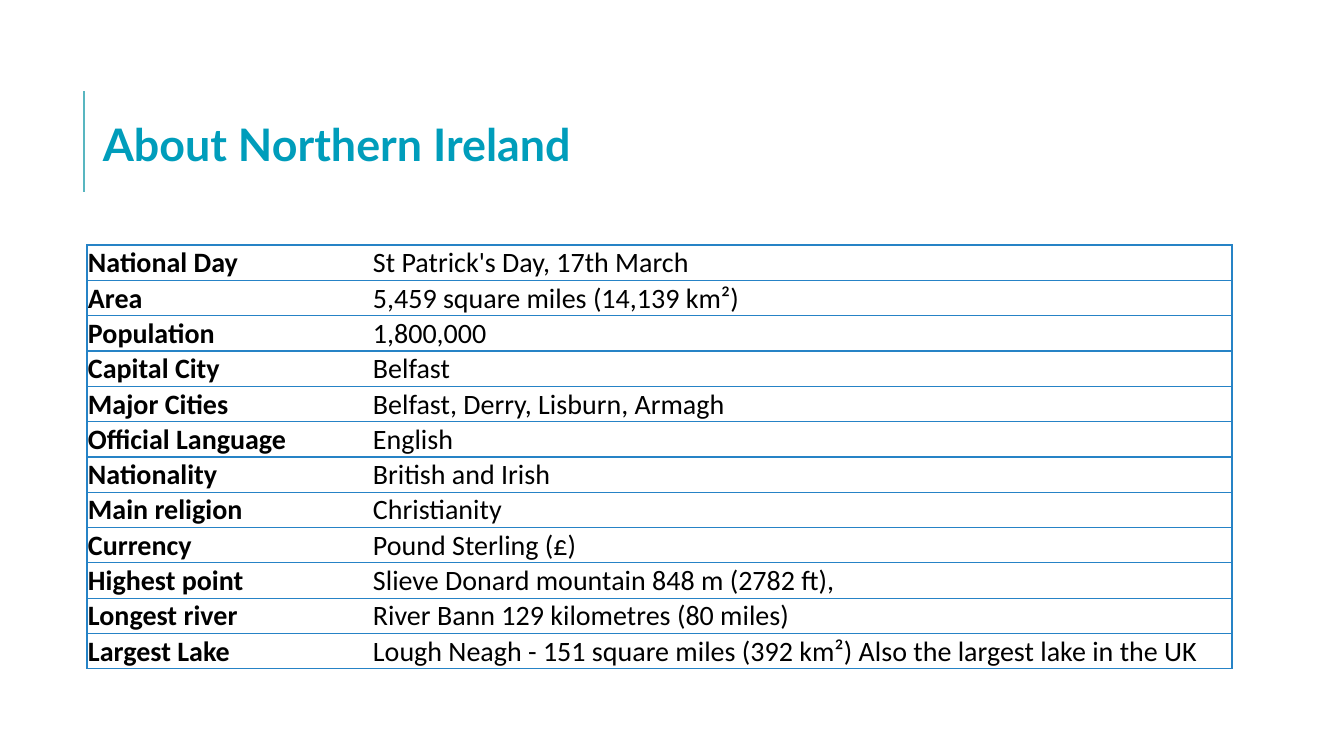
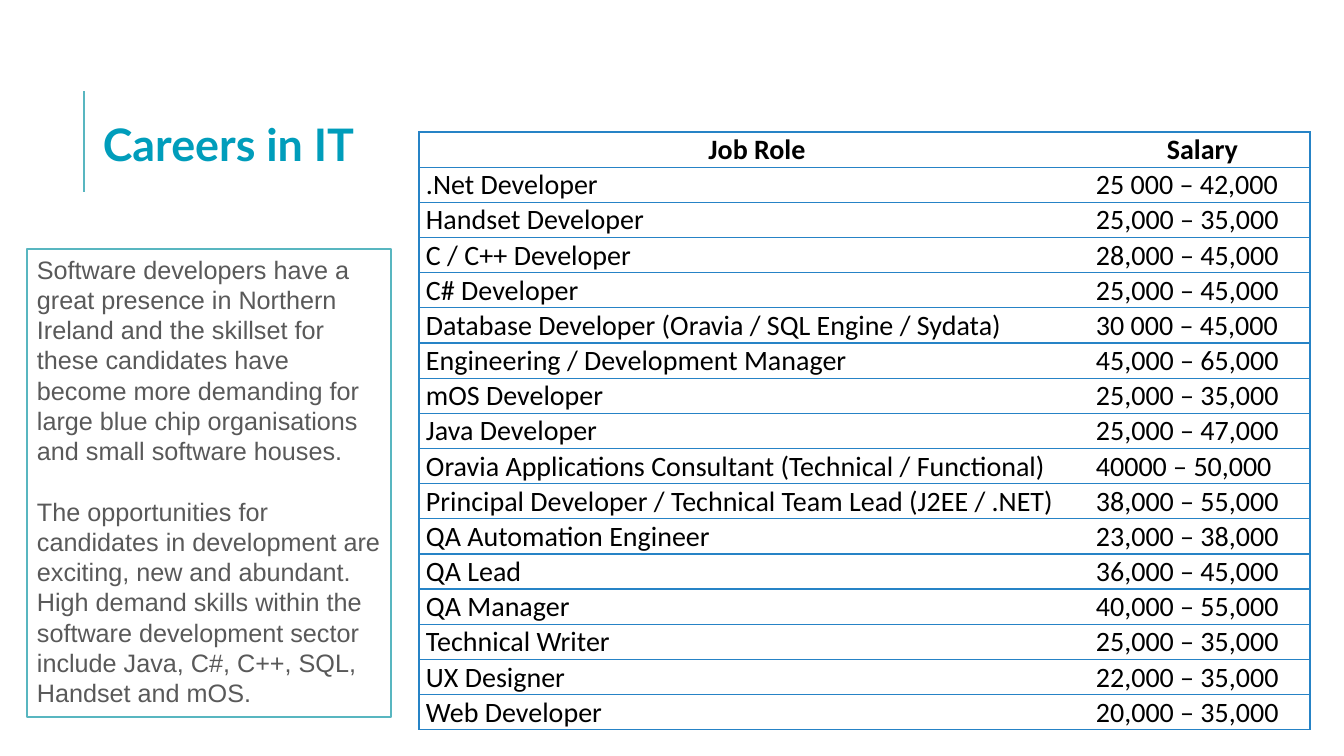
import lxml.etree
import pptx
import pptx.dml.color
import pptx.enum.shapes
import pptx.enum.text
import pptx.oxml.ns
import pptx.util

PX = 914400 / 100.8
TEAL = pptx.dml.color.RGBColor(0x58, 0xB6, 0xC0)
CYAN = pptx.dml.color.RGBColor(0x00, 0x9D, 0xBB)
BLUE = pptx.dml.color.RGBColor(0x26, 0x83, 0xC6)
GREY = pptx.dml.color.RGBColor(0x59, 0x59, 0x59)
BLACK = pptx.dml.color.RGBColor(0x00, 0x00, 0x00)
WHITE = pptx.dml.color.RGBColor(0xFF, 0xFF, 0xFF)

LEFT = pptx.enum.text.PP_ALIGN.LEFT
CENTER = pptx.enum.text.PP_ALIGN.CENTER
TOP = pptx.enum.text.MSO_ANCHOR.TOP
MIDDLE = pptx.enum.text.MSO_ANCHOR.MIDDLE
BOTTOM = pptx.enum.text.MSO_ANCHOR.BOTTOM


def emu(*px):
    return [pptx.util.Emu(round(v * PX)) for v in px]


def put_text(tf, text, font="Calibri", size=20, color=BLACK, bold=False,
             align=LEFT, spacing=None, gap=None):
    for i, line in enumerate(text.split("\n")):
        p = tf.add_paragraph() if i else tf.paragraphs[0]
        p.alignment = align
        if spacing:
            p.line_spacing = pptx.util.Pt(spacing)
        if gap and i:
            p.space_before = pptx.util.Pt(gap)
        r = p.add_run()
        r.text = line
        r.font.name = font
        r.font.size = pptx.util.Pt(size)
        r.font.bold = bold
        r.font.color.rgb = color


FACTS = [
    ("National Day", "St Patrick's Day, 17th March"),
    ("Area", "5,459 square miles (14,139 km²)"),
    ("Population", "1,800,000"),
    ("Capital City", "Belfast"),
    ("Major Cities", "Belfast, Derry, Lisburn, Armagh"),
    ("Official Language", "English"),
    ("Nationality", "British and Irish"),
    ("Main religion", "Christianity"),
    ("Currency", "Pound Sterling (£)"),
    ("Highest point", "Slieve Donard mountain 848 m (2782 ft),"),
    ("Longest river", "River Bann 129 kilometres (80 miles)"),
    ("Largest Lake", "Lough Neagh - 151 square miles (392 km²) Also the largest lake in the UK"),
]
JOBS = [
    ("Job Role", "Salary"),
    (".Net Developer", "25 000 – 42,000"),
    ("Handset Developer", "25,000 – 35,000"),
    ("C / C++ Developer", "28,000 – 45,000"),
    ("C# Developer", "25,000 – 45,000"),
    ("Database Developer (Oravia / SQL Engine / Sydata)", "30 000 – 45,000"),
    ("Engineering / Development Manager", "45,000 – 65,000"),
    ("mOS Developer", "25,000 – 35,000"),
    ("Java Developer", "25,000 – 47,000"),
    ("Oravia Applications Consultant (Technical / Functional)", "40000 – 50,000"),
    ("Principal Developer / Technical Team Lead (J2EE / .NET)", "38,000 – 55,000"),
    ("QA Automation Engineer", "23,000 – 38,000"),
    ("QA Lead", "36,000 – 45,000"),
    ("QA Manager", "40,000 – 55,000"),
    ("Technical Writer", "25,000 – 35,000"),
    ("UX Designer", "22,000 – 35,000"),
    ("Web Developer", "20,000 – 35,000"),
]
SLIDES = [
    dict(title="About Northern Ireland", title_width=515, rows=FACTS, box=(87, 245, 1145, 424),
         widths=(285, 860), anchor=MIDDLE, indent=1, header=False),
    dict(title="Careers in IT", title_width=294, rows=JOBS, box=(419, 132, 891, 598),
         widths=(676, 215), anchor=BOTTOM, indent=7, header=True),
]
SIDEBAR = (
    "Software developers have a great presence in Northern Ireland and the skillset for "
    "these candidates have become more demanding for large blue chip organisations and "
    "small software houses.\n"
    "The opportunities for candidates in development are exciting, new and abundant. High "
    "demand skills within the software development sector include Java, C#, C++, SQL, "
    "Handset and mOS."
)

prs = pptx.Presentation()
prs.slide_width, prs.slide_height = emu(1344, 756)

for page in SLIDES:
    s = prs.slides.add_slide(prs.slide_layouts[6])

    rule = s.shapes.add_connector(pptx.enum.shapes.MSO_CONNECTOR.STRAIGHT, *emu(84, 192, 84, 91))
    rule.line.color.rgb = TEAL
    rule.line.width = pptx.util.Pt(1.5)
    lxml.etree.SubElement(rule._element.spPr, pptx.oxml.ns.qn("a:effectLst"))

    tf = s.shapes.add_textbox(*emu(93, 112, page["title_width"], 65)).text_frame
    tf.word_wrap = True
    put_text(tf, page["title"], font="Lato", size=32, color=CYAN, bold=True)

    rows = page["rows"]
    table = s.shapes.add_table(len(rows), 2, *emu(*page["box"])).table
    table.first_row = table.horz_banding = False
    for col, width in zip(table.columns, emu(*page["widths"])):
        col.width = width
    for i, row in enumerate(rows):
        heading = page["header"] and i == 0
        for j, text in enumerate(row):
            cell = table.cell(i, j)
            cell.vertical_anchor = page["anchor"]
            indent = page["indent"] if j == 0 and not heading else 1
            cell.margin_left, cell.margin_right, cell.margin_top, cell.margin_bottom = emu(indent, 1, 1, 0)
            inner = "R" if j == 0 else "L"
            for side in "LRTB":
                ln = lxml.etree.SubElement(cell._tc.get_or_add_tcPr(),
                                           pptx.oxml.ns.qn("a:ln" + side), w="12700")
                if side == inner:
                    lxml.etree.SubElement(ln, pptx.oxml.ns.qn("a:noFill"))
                else:
                    fill = lxml.etree.SubElement(ln, pptx.oxml.ns.qn("a:solidFill"))
                    lxml.etree.SubElement(fill, pptx.oxml.ns.qn("a:srgbClr"), val=str(BLUE))
            cell.fill.solid()
            cell.fill.fore_color.rgb = WHITE
            put_text(cell.text_frame, text, align=CENTER if heading else LEFT,
                     bold=heading or (j == 0 and not page["header"]))

sp = s.shapes.add_shape(pptx.enum.shapes.MSO_SHAPE.RECTANGLE, *emu(27, 249, 364, 468))
sp.shadow.inherit = False
sp.fill.background()
sp.line.color.rgb = TEAL
sp.line.width = pptx.util.Pt(1.5)
tf = sp.text_frame
tf.word_wrap = True
tf.vertical_anchor = TOP
tf.margin_left, tf.margin_right, tf.margin_top, tf.margin_bottom = emu(10, 7, 5, 5)
put_text(tf, SIDEBAR, font="Arial", size=18, color=GREY, spacing=21.6, gap=21.6)

prs.save("out.pptx")
